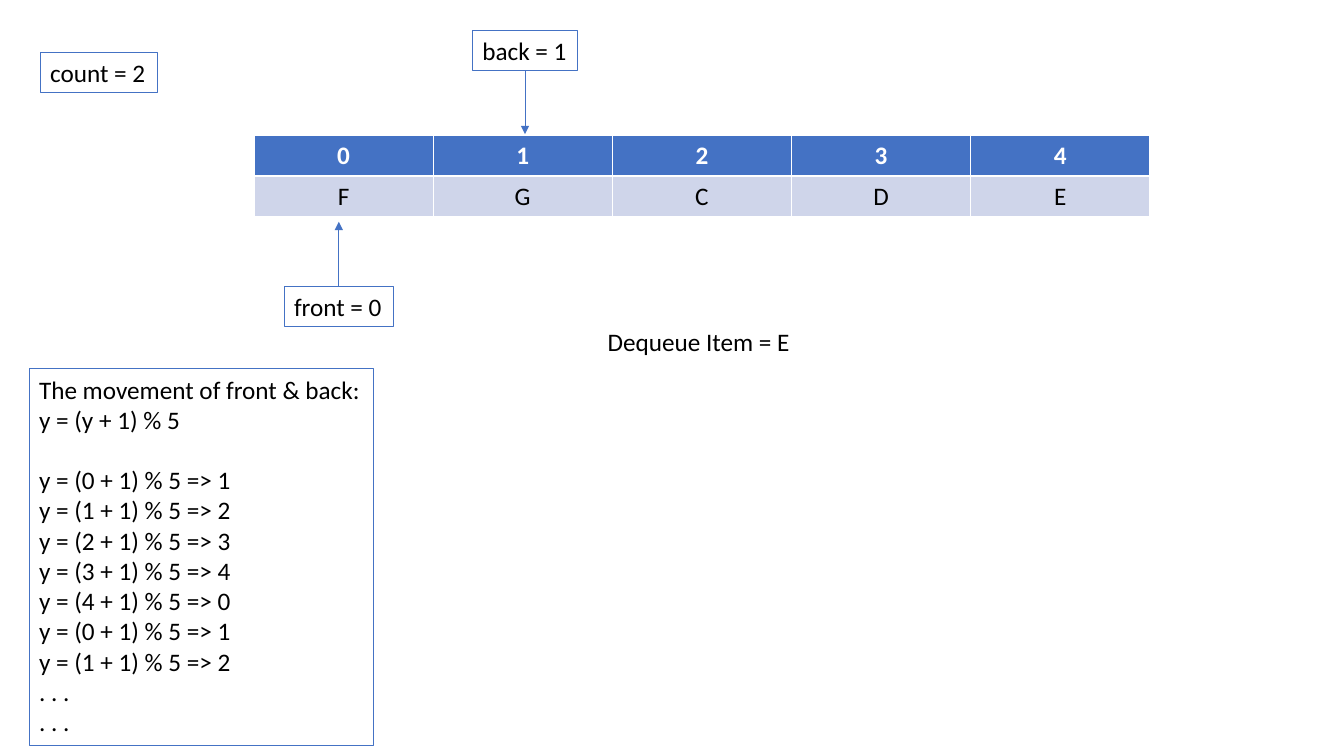
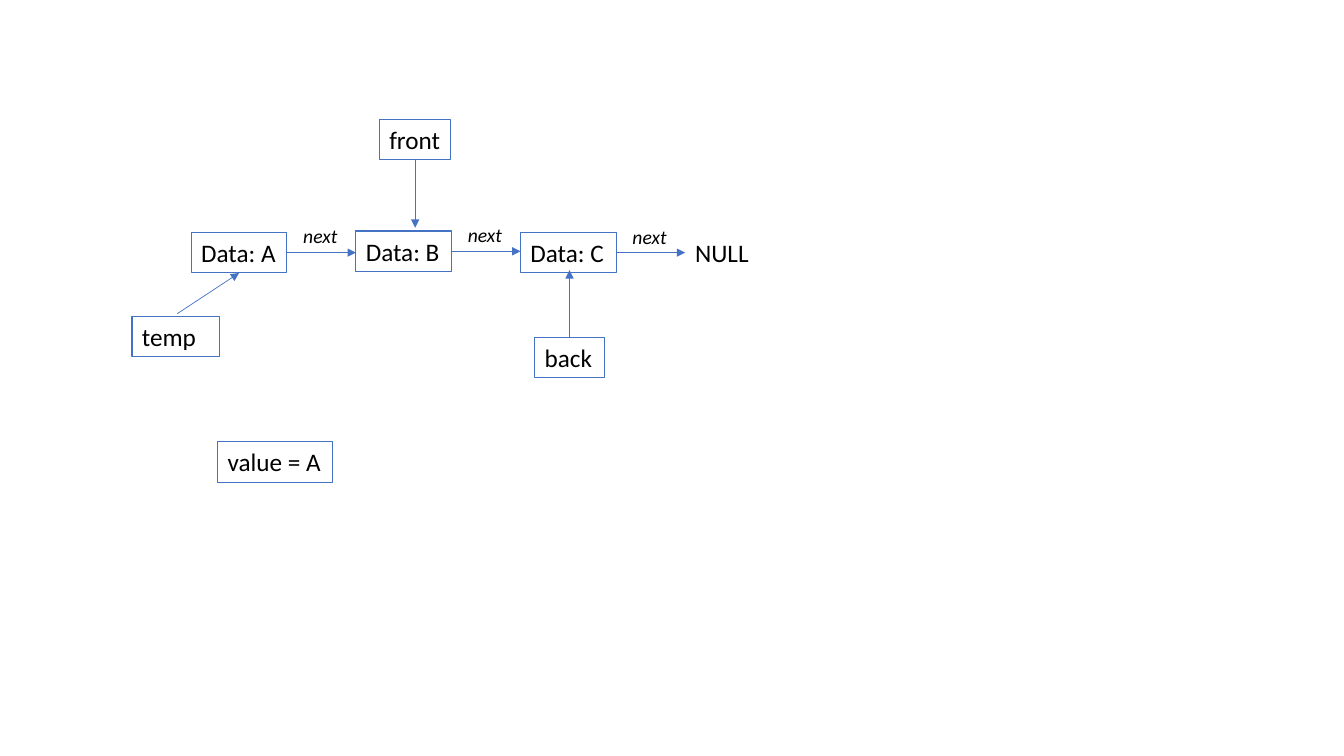
"""Builds two slides on queues: a circular array and a linked list."""
from pptx import Presentation
from pptx.dml.color import RGBColor
from pptx.enum.shapes import MSO_CONNECTOR
from pptx.enum.text import PP_ALIGN
from pptx.oxml.ns import qn
from pptx.util import Pt
from lxml import etree

STRAIGHT = MSO_CONNECTOR.STRAIGHT
CENTER = PP_ALIGN.CENTER
BLUE = RGBColor(0x44, 0x72, 0xC4)
PALE = RGBColor(0xCF, 0xD5, 0xEA)
WHITE = RGBColor(0xFF, 0xFF, 0xFF)
BLACK = RGBColor(0, 0, 0)
FONT = "Calibri"
BODY, SMALL = 18, 14
BOX_H, LINE_H = 29, 21.6
TOP, LEFT, BOTTOM, RIGHT = range(4)

ARRAY = [["0", "1", "2", "3", "4"], ["F", "G", "C", "D", "E"]]
ARRAY_AT = (181.4, 96.5, 640, 58.4)
POINTERS = [
    ("front = 0", 203, 204.5, 78, TOP, 158.4),
    ("back = 1", 337.5, 21.5, 75, BOTTOM, 95.8),
]
RULE = ["The movement of front & back:", "y = (y + 1) % 5"]
STEPS = [f"y = ({i % 5} + 1) % 5 => {(i + 1) % 5}" for i in range(7)]
DOTS = [". . .", ". . ."]

NODES = [("Data: A", 166), ("Data: B", 165), ("Data: C", 166), ("NULL", 166)]
NODE_X, NODE_W, NODE_PITCH = 136.6, 68.4, 117.6
NEXT_TOPS = [156.2, 155.5, 157]
NEXT_DX, NEXT_W, NEXT_H = 72.9, 39.6, 24.5
ENDS = [
    ("back", 382, 241, 49.6, TOP, 193),
    ("front", 271, 85.2, 51.2, BOTTOM, 162.7),
]


def style(r, size=BODY, color=BLACK, bold=False, italic=False):
    r.font.name, r.font.size = FONT, Pt(size)
    r.font.bold, r.font.italic = bold, italic
    r.font.color.rgb = color


def add_text(s, lines, x, y, w, h=BOX_H, border=True, wrap=False, size=BODY,
             italic=False, gap_before=None):
    sp = s.shapes.add_textbox(Pt(x), Pt(y), Pt(w), Pt(h))
    if border:
        sp.line.color.rgb = BLUE
        sp.line.width = Pt(0.75)
    tf = sp.text_frame
    tf.word_wrap = wrap
    for i, line in enumerate(lines):
        p = tf.add_paragraph() if i else tf.paragraphs[0]
        if i == gap_before:
            p.space_before = Pt(LINE_H)
        r = p.add_run()
        r.text = line
        style(r, size, italic=italic)
    return sp


def add_arrow(s, x1, y1, x2, y2):
    line = s.shapes.add_connector(STRAIGHT, Pt(x1), Pt(y1), Pt(x2), Pt(y2))
    line.line.color.rgb = BLUE
    line.line.width = Pt(0.5)
    ln = line.line._get_or_add_ln()
    etree.SubElement(ln, qn("a:tailEnd"), type="triangle")
    etree.SubElement(ln.getparent(), qn("a:effectLst"))
    return line


def add_pointer(s, label, x, y, w, side, tip):
    box = add_text(s, [label], x, y, w)
    start = y if side == TOP else y + BOX_H
    arrow = add_arrow(s, x + w / 2, start, x + w / 2, tip)
    arrow.begin_connect(box, side)


def add_array(s):
    table = s.shapes.add_table(len(ARRAY), len(ARRAY[0]), *map(Pt, ARRAY_AT)).table
    for i, row in enumerate(ARRAY):
        for j, value in enumerate(row):
            cell = table.cell(i, j)
            cell.fill.solid()
            cell.fill.fore_color.rgb = PALE if i else BLUE
            p = cell.text_frame.paragraphs[0]
            p.alignment = CENTER
            r = p.add_run()
            r.text = value
            style(r, color=BLACK if i else WHITE, bold=i == 0)


def circular_slide(prs):
    s = prs.slides.add_slide(prs.slide_layouts[6])
    add_array(s)
    for pointer in POINTERS:
        add_pointer(s, *pointer)
    add_text(s, ["count = 2"], 28.8, 37.4, 83.5)
    add_text(s, RULE + STEPS + DOTS, 20.8, 263.5, 246.3, 269.3, gap_before=len(RULE))
    add_text(s, ["Dequeue Item = E"], 427, 229.7, 146, border=False)


def linked_slide(prs):
    s = prs.slides.add_slide(prs.slide_layouts[6])
    for pointer in ENDS:
        add_pointer(s, *pointer)
    nodes = []
    for i, (label, top) in enumerate(NODES):
        x = NODE_X + i * NODE_PITCH
        is_node = i < len(NEXT_TOPS)
        nodes.append(add_text(s, [label], x, top, NODE_W if is_node else 53,
                              border=is_node))
        if is_node:
            y = top + BOX_H / 2
            arrow = add_arrow(s, x + NODE_W, y, x + NODE_PITCH, y)
            arrow.begin_connect(nodes[i], RIGHT)
            add_text(s, ["next"], x + NEXT_DX, NEXT_TOPS[i], NEXT_W, NEXT_H,
                     border=False, size=SMALL, italic=True)
    add_text(s, ["temp"], 94.3, 226, 62.6, wrap=True)
    arrow = add_arrow(s, 126.7, 224, NODE_X + NODE_W / 2, NODES[0][1] + BOX_H)
    arrow.end_connect(nodes[0], BOTTOM)
    add_text(s, ["value = A"], 155.5, 315.4, 82)


def main():
    prs = Presentation()
    prs.slide_width, prs.slide_height = Pt(960), Pt(540)
    circular_slide(prs)
    linked_slide(prs)
    prs.save("out.pptx")


if __name__ == "__main__":
    main()
